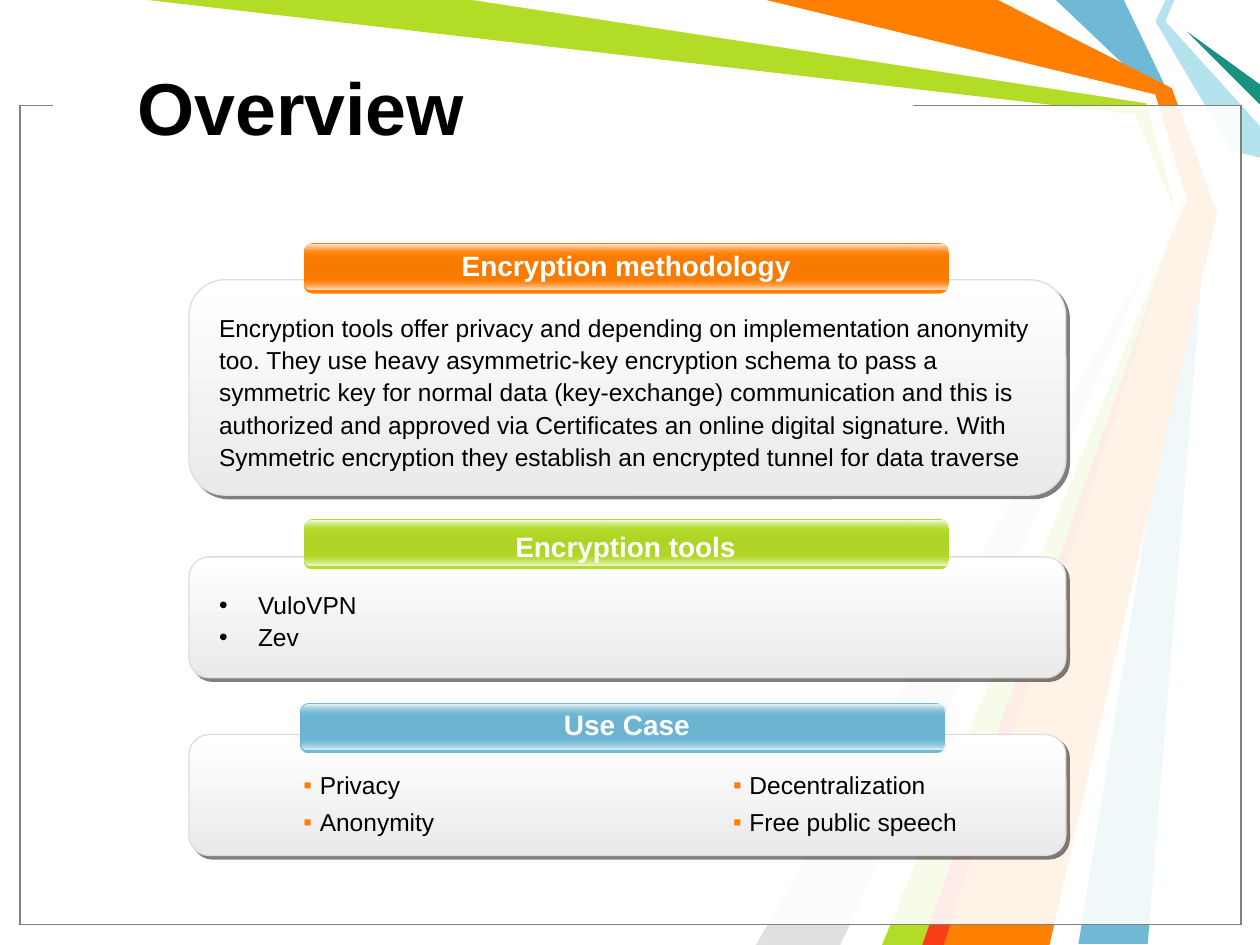
from dataclasses import dataclass

from lxml.etree import SubElement
from pptx import Presentation
from pptx.dml.color import RGBColor
from pptx.enum.shapes import MSO_SHAPE
from pptx.enum.text import MSO_ANCHOR, MSO_AUTO_SIZE, PP_ALIGN
from pptx.oxml.ns import qn
from pptx.util import Emu, Pt

SCALE = 9144  # EMU in one px, 100 px to the inch


@dataclass(frozen=True)
class Theme:
    font: str = "Arial"
    black: str = "000000"
    white: str = "FFFFFF"
    gray: str = "808080"
    mist: str = "E0E0E0"
    pale: str = "EAEAEA"
    edge: str = "DDDDDD"
    orange: str = "FF7F00"
    green: str = "B3DC27"
    blue: str = "6FB9D7"
    aqua: str = "B4E3EE"
    teal: str = "189180"
    red: str = "F93D17"
    title: int = 42
    head: int = 16
    body: int = 14


@dataclass(frozen=True)
class Box:
    x: int
    y: int
    w: int
    h: int


@dataclass(frozen=True)
class Ray:
    color: str
    points: tuple[tuple[int, int], ...]


@dataclass(frozen=True)
class Note:
    box: Box
    lines: tuple[str, ...]
    bullet: str = ""
    tint: str = ""
    indent: int = 0
    ratio: float = 1.1
    gap: float = 0


@dataclass(frozen=True)
class Panel:
    plate: Box
    bar: Box
    color: str
    mid: str
    gloss: str
    label: str
    head: Box
    notes: tuple[Note, ...]


T = Theme()

RAYS = (
    Ray(T.blue, ((892, 0), (929, 77), (958, 167), (911, 749), (856, 749),
                 (950, 167), (917, 75), (838, 0))),
    Ray(T.green, ((117, 0), (383, 0), (914, 78), (942, 169), (742, 750),
                  (692, 750), (935, 173), (901, 91))),
    Ray(T.mist, ((667, 750), (927, 181), (600, 750))),
    Ray(T.white, ((375, 0), (910, 82), (932, 162), (675, 750), (700, 750),
                  (941, 158), (917, 75), (600, 0))),
    Ray(T.aqua, ((925, 0), (917, 17), (978, 120), (1000, 125), (1000, 100),
                 (925, 17), (932, 0))),
    Ray(T.teal, ((1000, 83), (942, 25), (1000, 67))),
    Ray(T.orange, ((608, 0), (792, 0), (930, 70), (966, 169), (833, 750),
                   (733, 750), (942, 158), (917, 75))),
    Ray(T.red, ((732, 750), (932, 183), (749, 750))),
)

ESSAY = (
    "Encryption tools offer privacy and depending on implementation anonymity too. "
    "They use heavy asymmetric-key encryption schema to pass a symmetric key for "
    "normal data (key-exchange) communication and this is authorized and approved "
    "via Certificates an online digital signature. With Symmetric encryption they "
    "establish an encrypted tunnel for data traverse"
)
SQUARE = dict(bullet="▪", tint=T.orange, indent=13, ratio=0.8, gap=7.7)

PANELS = (
    Panel(Box(150, 583, 696, 96), Box(238, 558, 512, 40), T.blue, "6BB3CF", "ECF4F8",
          "Use Case", Box(437, 557, 121, 37),
          (Note(Box(231, 611, 303, 60), ("Privacy", "Anonymity"), **SQUARE),
           Note(Box(572, 611, 216, 60), ("Decentralization", "Free public speech"),
                **SQUARE))),
    Panel(Box(150, 442, 696, 96), Box(241, 412, 512, 40), T.green, "ADD426", "F5FAED",
          "Encryption tools", Box(398, 415, 197, 37),
          (Note(Box(164, 461, 666, 60), ("VuloVPN", "Zev"), bullet="•", indent=31),)),
    Panel(Box(150, 222, 696, 171), Box(241, 193, 512, 40), T.orange, "F67B00", "FFEAE4",
          "Encryption methodology", Box(355, 192, 284, 37),
          (Note(Box(164, 241, 666, 138), (ESSAY,)),)),
)


def px(n: int) -> Emu:
    return Emu(n * SCALE)


def place(box: Box) -> tuple[Emu, ...]:
    return px(box.x), px(box.y), px(box.w), px(box.h)


def node(root, tag: str, **attrs):
    """Append a child element to root."""
    return SubElement(root, qn(tag), {k: str(v) for k, v in attrs.items()})


def cast(root) -> None:
    """Put a hard drop shadow in an effect list."""
    drop = node(root, "a:outerShdw", blurRad=0, dist=Pt(2.8), dir=45 * 60000, algn="ctr")
    node(node(drop, "a:srgbClr", val=T.black), "a:alpha", val=50000)


def draw(slide, box: Box, kind=MSO_SHAPE.RECTANGLE, fill=T.white, alpha=100,
         line="", turn=None, stops=()):
    """Add a preset shape with a flat fill, or a downward one when stops are given."""
    shape = slide.shapes.add_shape(kind, *place(box))
    shape.shadow.inherit = False
    if turn is not None:
        shape.adjustments[0] = turn
    if stops:
        shape.fill.gradient()
        shape.fill.gradient_angle = 270
        ramp = shape._element.spPr.find(qn("a:gradFill")).find(qn("a:gsLst"))
        for old in list(ramp):
            ramp.remove(old)
        for pos, color, part in stops:
            stop = node(ramp, "a:gs", pos=pos * 1000)
            node(node(stop, "a:srgbClr", val=color), "a:alpha", val=part * 1000)
    else:
        shape.fill.solid()
        shape.fill.fore_color.rgb = RGBColor.from_string(fill)
        if alpha < 100:
            color = shape._element.spPr.find(qn("a:solidFill"))[0]
            node(color, "a:alpha", val=alpha * 1000)
    if line:
        shape.line.color.rgb = RGBColor.from_string(line)
        shape.line.width = Pt(0.75)
    else:
        shape.line.fill.background()
    return shape


def write(slide, box: Box, lines, size=T.body, color=T.black, bold=False, wrap=True,
          align=PP_ALIGN.LEFT, anchor=MSO_ANCHOR.TOP, grow=True, shade=False,
          bullet="", tint="", indent=0, ratio=1.0, gap=0.0) -> None:
    frame = slide.shapes.add_textbox(*place(box)).text_frame
    frame.word_wrap = wrap
    frame.vertical_anchor = anchor
    frame.auto_size = MSO_AUTO_SIZE.SHAPE_TO_FIT_TEXT if grow else MSO_AUTO_SIZE.NONE
    for i, text in enumerate(lines):
        para = frame.add_paragraph() if i else frame.paragraphs[0]
        para.alignment = align
        para.line_spacing = ratio
        if i and gap:
            para.space_before = Pt(gap)
        if bullet:
            props = para._p.get_or_add_pPr()
            props.set("marL", str(px(indent)))
            props.set("indent", str(px(-indent)))
            if tint:
                node(node(props, "a:buClr"), "a:srgbClr", val=tint)
            node(props, "a:buFont", typeface=T.font)
            node(props, "a:buChar", char=bullet)
        run = para.add_run()
        run.text = text
        font = run.font
        font.size, font.bold = Pt(size), bold
        font.color.rgb = RGBColor.from_string(color)
        if shade:
            cast(node(run._r.get_or_add_rPr(), "a:effectLst"))
        font.name = T.font


def fan(slide, ray: Ray) -> None:
    """Draw one backdrop ray."""
    path = slide.shapes.build_freeform(*ray.points[0], scale=SCALE)
    path.add_line_segments(ray.points[1:], close=True)
    shape = path.convert_to_shape()
    shape.shadow.inherit = False
    shape.fill.solid()
    shape.fill.fore_color.rgb = RGBColor.from_string(ray.color)
    shape.line.fill.background()


def build(slide, panel: Panel) -> None:
    """Draw a plate, its glossy bar and their text."""
    round_box = MSO_SHAPE.ROUNDED_RECTANGLE
    plate = draw(slide, panel.plate, round_box, line=T.edge, turn=0.167,
                 stops=((0, T.white, 100), (100, T.pale, 100)))
    cast(plate._element.spPr.find(qn("a:effectLst")))
    bar, color = panel.bar, panel.color
    draw(slide, bar, round_box, turn=0.175,
         stops=((0, color, 100), (50, panel.mid, 100), (100, color, 100)))
    low = ((0, color, 0), (100, panel.gloss, 100))
    high = ((0, panel.gloss, 100), (100, color, 0))
    for drop, stops in ((28, low), (1, high)):
        draw(slide, Box(bar.x + 1, bar.y + drop, bar.w - 1, 9), round_box,
             turn=0.5, stops=stops)
    write(slide, panel.head, (panel.label,), size=T.head, color=T.white, bold=True,
          wrap=False, align=PP_ALIGN.CENTER, shade=True)
    for note in panel.notes:
        write(slide, note.box, note.lines, bullet=note.bullet, tint=note.tint,
              indent=note.indent, ratio=note.ratio, gap=note.gap)


def main() -> None:
    deck = Presentation()
    deck.slide_width, deck.slide_height = px(1000), px(750)
    slide = deck.slides.add_slide(deck.slide_layouts[6])
    for ray in RAYS:
        fan(slide, ray)
    for line in (T.black, T.gray):
        draw(slide, Box(16, 84, 969, 650), alpha=69, line=line)
    draw(slide, Box(42, 74, 683, 17))
    write(slide, Box(99, 22, 689, 125), ("Overview",), size=T.title, bold=True,
          anchor=MSO_ANCHOR.MIDDLE, grow=False)
    for panel in PANELS:
        build(slide, panel)
    deck.save("out.pptx")


if __name__ == "__main__":
    main()
